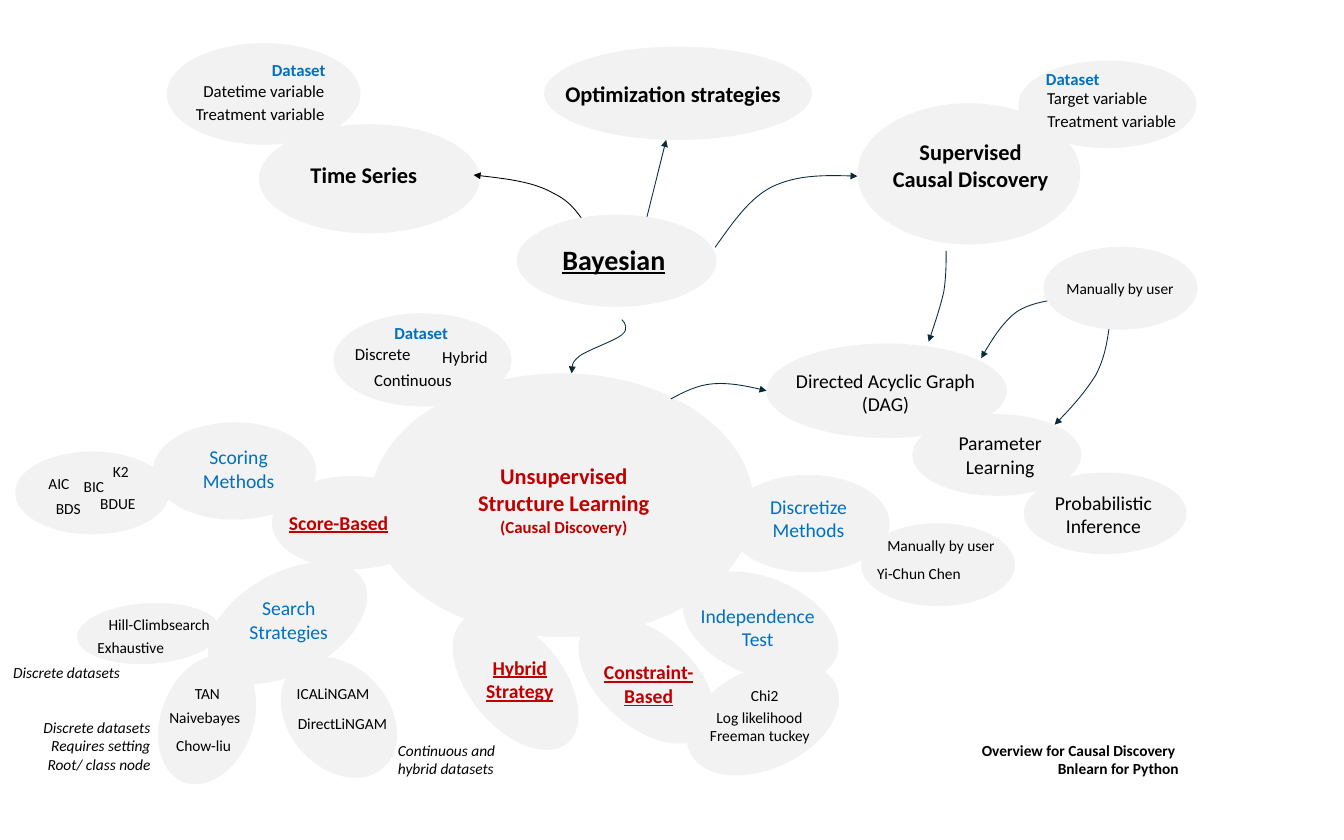
from lxml import etree
from pptx import Presentation
from pptx.dml.color import RGBColor
from pptx.enum.shapes import MSO_CONNECTOR, MSO_SHAPE
from pptx.enum.text import MSO_AUTO_SIZE, PP_ALIGN
from pptx.oxml.ns import qn
from pptx.util import Pt

OVAL = MSO_SHAPE.OVAL
STRAIGHT = MSO_CONNECTOR.STRAIGHT
GROW = MSO_AUTO_SIZE.SHAPE_TO_FIT_TEXT
LEFT, CENTER, RIGHT = PP_ALIGN.LEFT, PP_ALIGN.CENTER, PP_ALIGN.RIGHT

COLORS = {"bubble": "F2F2F2", "arrow": "092A39", "black": "000000",
          "blue": "0070C0", "red": "C00000"}
STYLES = {
    "hub": (19.2, "black", "b", LEFT),
    "hub centred": (19.2, "black", "b", CENTER),
    "core": (24, "black", "bu", LEFT),
    "learning": (19.2, "red", "b", CENTER),
    "approach": (16.8, "red", "bu", CENTER),
    "method": (16.8, "blue", "", CENTER),
    "graph": (16.8, "black", "", CENTER),
    "dataset": (14.4, "blue", "b", CENTER),
    "variable": (14.4, "black", "", CENTER),
    "item": (13.2, "black", "", CENTER),
    "note": (13.2, "black", "i", LEFT),
    "side note": (13.2, "black", "i", RIGHT),
    "caption": (13.2, "black", "b", RIGHT),
}

TOPIC_BUBBLES = [
    (485, 543, 138, 80, 41.2), (286, 268.5, 152.5, 80, 0), (172, 491, 149, 86, 330.9),
    (131, 362, 140, 83.5, 0), (317, 320, 329, 226, 0), (66, 517, 123, 52, 356.8),
    (13, 387, 132, 71, 0), (585, 573, 138, 86, 335.2), (782, 355, 145, 70, 0),
    (466.5, 40, 229.5, 80, 0), (222, 106.5, 189, 93.5, 0), (735, 88.5, 191, 121, 0),
    (657, 294.5, 206, 81, 0), (143, 37, 166, 87, 0), (873, 52, 152.5, 75, 0),
    (877.5, 405, 139.5, 70, 0), (623, 407, 139.5, 83.5, 0), (738, 448.5, 132, 71, 0),
    (138, 560, 79, 114, 20.5), (233, 572, 115, 86, 48.8), (373, 544, 138, 80, 50),
    (233, 408, 138, 80, 0), (582, 495, 140, 84, 22.3),
]
SOURCE_BUBBLES = [(443, 184, 171, 79, 0), (894.5, 211.5, 132, 71, 0)]

CURVES = [
    ("arrow", [(575, 342), (586, 336), (598, 330), (611, 329),
               (625, 328), (641, 331), (657, 335)]),
    ("black", [(508, 203), (500, 189), (492, 174), (475, 166),
               (458, 156), (432, 153), (406, 150)]),
    ("arrow", [(613, 212), (628, 191), (642, 170), (662, 160),
               (683, 150), (709, 150), (735, 151)]),
    ("arrow", [(533, 274), (536, 277), (539, 282), (533, 287), (527, 292),
               (504, 300), (497, 305), (490, 311), (490, 315), (490, 320)]),
    ("arrow", [(811, 215), (811, 225), (811, 237), (809, 250),
               (806, 263), (801, 278), (796, 293)]),
    ("arrow", [(903, 257), (891, 259), (877, 262), (868, 270),
               (858, 279), (849, 293), (841, 307)]),
    ("arrow", [(951, 279), (949, 293), (947, 307), (939, 322),
               (930, 336), (918, 350), (904, 364)]),
]

LABELS = {
    "hub": [("Time Series", 259, 134.5, 107), ("Optimization strategies", 477.5, 65.5, 201.5)],
    "hub centred": [("Supervised\nCausal Discovery", 757.5, 115, 149)],
    "core": [("Bayesian", 475, 204, 104)],
    "approach": [("Hybrid\nStrategy", 409, 558.5, 73), ("Score-Based", 235.5, 434, 109.5),
                 ("Constraint-\nBased", 510, 562.5, 92)],
    "method": [("Search\nStrategies", 206, 507.5, 83), ("Scoring\nMethods", 166.5, 378, 76),
               ("Discretize\nMethods", 652.5, 420.5, 81),
               ("Independence\nTest", 592.5, 514, 114)],
    "graph": [("Directed Acyclic Graph\n(DAG)", 674, 312.5, 170)],
    "dataset": [("Dataset", 330.5, 273.5, 61), ("Dataset", 225.5, 47.5, 61),
                ("Dataset", 889, 55.5, 61)],
    "variable": [("Continuous", 313, 313, 82), ("Discrete", 296.5, 291.5, 63),
                 ("Hybrid", 371.5, 294, 54), ("Treatment variable", 160, 85.5, 126),
                 ("Datetime variable", 166.5, 66, 119.5),
                 ("Treatment variable", 890, 91.5, 126), ("Target variable", 890, 72, 101)],
    "item": [("Hill-Climbsearch", 85.5, 523.5, 102), ("Exhaustive", 75.5, 543.5, 73),
             ("BIC", 62.5, 405.5, 36), ("AIC", 32.5, 402.5, 36), ("K2", 87.5, 392.5, 32),
             ("BDS", 38.5, 424, 40), ("BDUE", 77, 420, 48), ("Chi2", 630.5, 584.5, 50),
             ("Log likelihood", 600.5, 603.5, 101), ("Freeman tuckey", 595.5, 619, 111.5),
             ("Manually by user", 753, 456, 107), ("Yi-Chun Chen", 744.5, 480, 86.5),
             ("TAN", 157.5, 582.5, 40.5), ("Naivebayes", 137.5, 603.5, 76),
             ("Chow-liu", 143.5, 627, 62), ("DirectLiNGAM", 247.5, 608.5, 92),
             ("ICALiNGAM", 247, 582.5, 77), ("Manually by user", 906.5, 235.5, 107)],
    "note": [("Continuous and\nhybrid datasets", 334, 631.5, 98.5)],
    "side note": [("Discrete datasets\nRequires setting\nRoot/ class node", -29, 612, 165),
                  ("Discrete datasets", -7, 564.5, 117)],
    "caption": [("Overview for Causal Discovery \nBnlearn for Python", 831.5, 631.5, 186)],
}
WRAPPED_LABELS = [("Parameter Learning", 805.5, 366, 103.5),
                  ("Probabilistic Inference", 887, 417, 117.5)]


class MindMap:
    def __init__(self, page):
        self.shapes = page.shapes

    def color(self, name):
        return RGBColor.from_string(COLORS[name])

    def bubble(self, left, top, width, height, turn):
        oval = self.shapes.add_shape(OVAL, Pt(left), Pt(top), Pt(width), Pt(height))
        oval.shadow.inherit = False
        oval.fill.solid()
        oval.fill.fore_color.rgb = self.color("bubble")
        oval.line.fill.background()
        oval.rotation = turn

    def finish_arrow(self, arrow, color):
        arrow.line.color.rgb = self.color(color)
        arrow.line.width = Pt(0.75)
        properties = arrow.element.spPr
        outline = properties.find(qn("a:ln"))
        etree.SubElement(outline, qn("a:tailEnd"), type="triangle")
        if properties.find(qn("a:effectLst")) is None:
            etree.SubElement(properties, qn("a:effectLst"))

    def straight_arrow(self, color, start, end):
        arrow = self.shapes.add_connector(
            STRAIGHT, *(Pt(value) for value in start + end))
        self.finish_arrow(arrow, color)

    def curved_arrow(self, color, points):
        start, *rest = [(Pt(x), Pt(y)) for x, y in points]
        builder = self.shapes.build_freeform(*start)
        builder.add_line_segments(rest, close=False)
        arrow = builder.convert_to_shape()
        arrow.fill.background()
        outline = next(arrow.element.iter(qn("a:path")))
        segments = outline.findall(qn("a:lnTo"))
        for first in range(0, len(segments), 3):
            bend = etree.SubElement(outline, qn("a:cubicBezTo"))
            for segment in segments[first:first + 3]:
                bend.append(segment[0])
                outline.remove(segment)
        self.finish_arrow(arrow, color)

    def label(self, style, text, left, top, width, wrap=False):
        size, color, effects, align = STYLES[style]
        lines = 2 if wrap else text.count("\n") + 1
        height = round(lines * size * 1.22 + 7.2, 2)
        box = self.shapes.add_textbox(Pt(left), Pt(top), Pt(width), Pt(height))
        frame = box.text_frame
        frame.text = text
        frame.word_wrap = wrap
        frame.auto_size = GROW
        for para in frame.paragraphs:
            para.alignment = align
            for span in para.runs:
                span.font.name = "Calibri"
                span.font.size = Pt(size)
                span.font.color.rgb = self.color(color)
                span.font.bold = "b" in effects
                span.font.italic = "i" in effects
                span.font.underline = "u" in effects
        return box


def main():
    deck = Presentation()
    deck.slide_width, deck.slide_height = Pt(1152), Pt(720)
    mind_map = MindMap(deck.slides.add_slide(deck.slide_layouts[6]))

    for bubble in TOPIC_BUBBLES:
        mind_map.bubble(*bubble)
    mind_map.straight_arrow("arrow", (554, 188), (571, 120))
    for color, points in CURVES:
        mind_map.curved_arrow(color, points)
    for bubble in SOURCE_BUBBLES:
        mind_map.bubble(*bubble)

    for style, labels in LABELS.items():
        for label in labels:
            mind_map.label(style, *label)
    for label in WRAPPED_LABELS:
        mind_map.label("graph", *label, wrap=True)
    learning = mind_map.label(
        "learning", "Unsupervised\nStructure Learning\n(Causal Discovery)", 402, 393, 162.5)
    learning.text_frame.paragraphs[2].runs[0].font.size = Pt(14.4)
    learning.height = Pt(71.5)

    deck.save("out.pptx")


if __name__ == "__main__":
    main()
